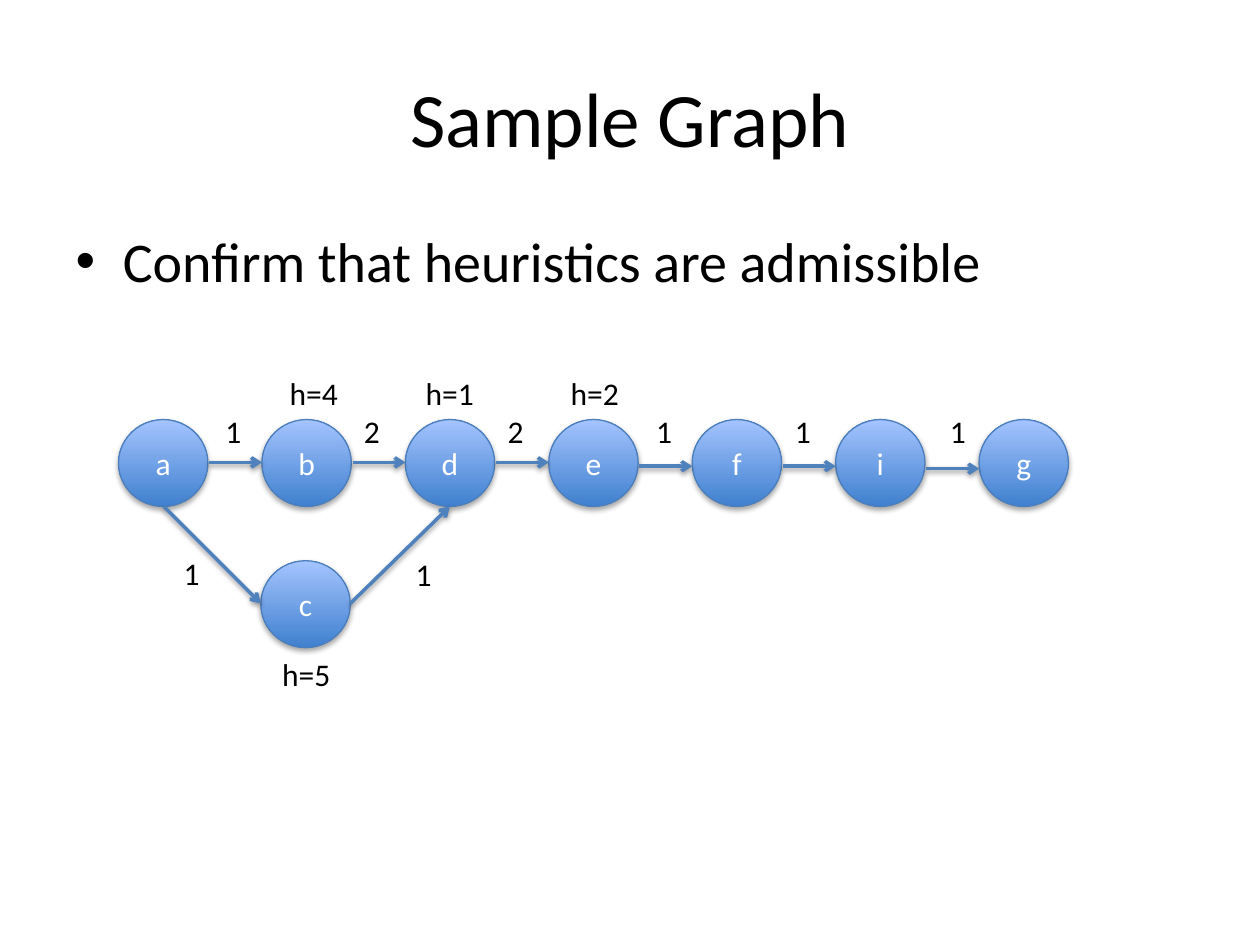
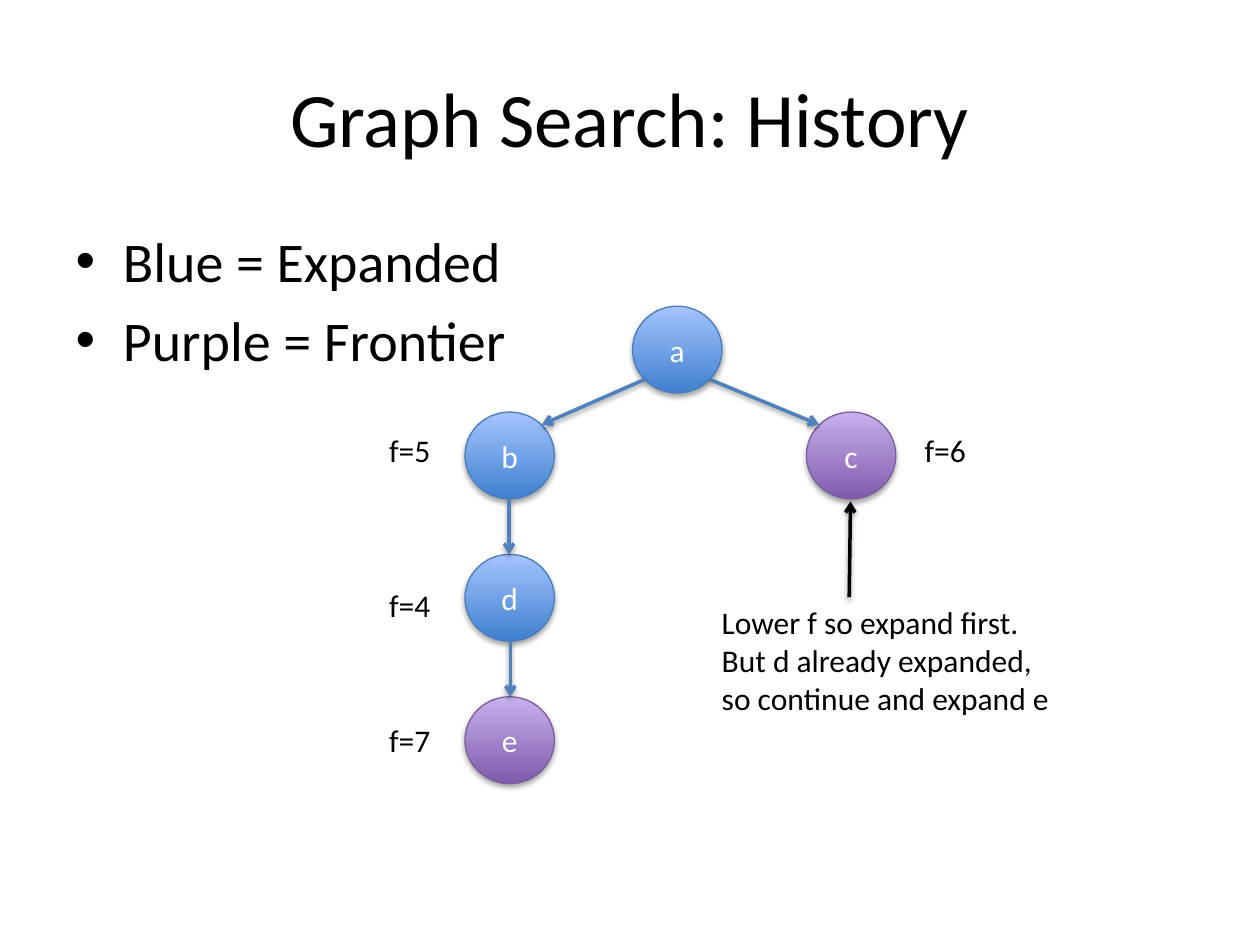
from lxml import etree
from pptx import Presentation
from pptx.dml.color import RGBColor
from pptx.enum.shapes import MSO_CONNECTOR as LINE, MSO_SHAPE as SHAPE
from pptx.enum.text import MSO_ANCHOR as ANCHOR, MSO_AUTO_SIZE as FIT, PP_ALIGN as ALIGN
from pptx.oxml.ns import qn
from pptx.util import Inches, Pt

# Shared style
FONT = "Calibri"
BLACK = RGBColor(0x00, 0x00, 0x00)
WHITE = RGBColor(0xFF, 0xFF, 0xFF)
EDGE = RGBColor(0x4F, 0x81, 0xBD)
# Node colours: bottom, top, outline
BLUE = (RGBColor(0x3F, 0x80, 0xCE), RGBColor(0xA4, 0xC4, 0xFF), RGBColor(0x4B, 0x7E, 0xBC))
PURPLE = (RGBColor(0x7F, 0x5B, 0xAB), RGBColor(0xC8, 0xB0, 0xED), RGBColor(0x7D, 0x60, 0xA0))
WIDE, HIGH = 0.71, 0.69


def write(para, text, size, color):
    run = para.add_run()
    run.text = text
    run.font.name, run.font.size = FONT, Pt(size)
    run.font.color.rgb = color


def shade(shape, dist, alpha):
    effects = etree.SubElement(shape._element.spPr, qn("a:effectLst"))
    shadow = etree.SubElement(effects, qn("a:outerShdw"), blurRad=str(Pt(3.1)),
                              dist=str(Pt(dist)), dir="5400000", rotWithShape="0")
    tint = etree.SubElement(shadow, qn("a:srgbClr"), val=str(BLACK))
    etree.SubElement(tint, qn("a:alpha"), val=str(alpha * 1000))


# Sample graph: a row of nodes with a detour through c
STEP = 6.83 / 6
row = [(name, 0.94 + i * STEP, 3.33, BLUE) for i, name in enumerate("abdefig")]
links = [(1.66 + i * STEP, y, 2.08 + i * STEP, y, EDGE)
         for i, y in enumerate([3.67, 3.67, 3.67, 3.7, 3.7, 3.72])]
costs = [("1", 1.69), ("2", 2.79), ("2", 3.93), ("1", 5.11), ("1", 6.21), ("1", 7.44)]
hints = [("h=4", 2.2), ("h=1", 3.28), ("h=2", 4.43)]
graph = {
    "title": "Sample Graph",
    "points": ["Confirm that heuristics are admissible"],
    "nodes": row + [("c", 2.07, 4.45, BLUE)],
    "arrows": links + [(1.3, 4.02, 2.07, 4.79, EDGE), (2.78, 4.79, 3.57, 4.02, EDGE)],
    "labels": [(text, x, 3.22, 0.33, 0.4) for text, x in costs]
    + [(text, x, 2.92, 0.59, 0.4) for text, x in hints]
    + [("1", 1.36, 4.35, 0.33, 0.4), ("1", 3.2, 4.36, 0.33, 0.4),
       ("h=5", 2.14, 5.15, 0.59, 0.4)],
}

# Search history: a tree with b, d and e in one column
column = [(name, 3.69, 3.27 + i * 1.13, color)
          for i, (name, color) in enumerate([("b", BLUE), ("d", BLUE), ("e", PURPLE)])]
scores = [("f=5", 2.99, 3.37), ("f=4", 2.99, 4.6), ("f=7", 2.99, 5.67), ("f=6", 7.24, 3.37)]
note = "Lower f so expand first.\nBut d already expanded,\nso continue and expand e"
history = {
    "title": "Graph Search: History",
    "points": ["Blue = Expanded", "Purple = Frontier"],
    "nodes": [("a", 5.02, 2.43, BLUE), ("c", 6.4, 3.27, PURPLE)] + column,
    "arrows": [(5.12, 3.01, 4.3, 3.37, EDGE), (5.63, 3.01, 6.5, 3.37, EDGE),
               (4.04, 3.95, 4.04, 4.4, EDGE), (4.05, 5.09, 4.05, 5.53, EDGE),
               (6.74, 4.74, 6.75, 3.98, BLACK)],
    "labels": [(text, x, y, 0.53, 0.4) for text, x, y in scores]
    + [(note, 5.63, 4.74, 2.83, 1.01)],
}

deck = Presentation()
deck.slide_width, deck.slide_height = Inches(10), Inches(7.5)

for page in (graph, history):
    slide = deck.slides.add_slide(deck.slide_layouts[1])

    # Title and list
    title, body = slide.placeholders
    for holder, top, high in ((title, 0.3, 1.25), (body, 1.75, 4.95)):
        holder.left, holder.top = Inches(0.5), Inches(top)
        holder.width, holder.height = Inches(9), Inches(high)
    write(title.text_frame.paragraphs[0], page["title"], 44, BLACK)
    frame = body.text_frame
    for i, point in enumerate(page["points"]):
        para = frame.add_paragraph() if i else frame.paragraphs[0]
        write(para, point, 32, BLACK)

    # Nodes
    for name, x, y, (low, top, rim) in page["nodes"]:
        node = slide.shapes.add_shape(SHAPE.OVAL, Inches(x), Inches(y), Inches(WIDE), Inches(HIGH))
        node.fill.gradient()
        node.fill.gradient_angle = 90
        for stop, color in zip(node.fill.gradient_stops, (low, top)):
            stop.color.rgb = color
        node.line.color.rgb, node.line.width = rim, Pt(0.75)
        shade(node, 1.8, 35)
        node.text_frame.vertical_anchor = ANCHOR.MIDDLE
        para = node.text_frame.paragraphs[0]
        para.alignment = ALIGN.CENTER
        write(para, name, 18, WHITE)

    # Arrows
    for x1, y1, x2, y2, color in page["arrows"]:
        arrow = slide.shapes.add_connector(LINE.STRAIGHT, Inches(x1), Inches(y1),
                                           Inches(x2), Inches(y2))
        arrow.line.color.rgb, arrow.line.width = color, Pt(2)
        etree.SubElement(arrow.line._get_or_add_ln(), qn("a:tailEnd"), type="arrow")
        shade(arrow, 1.6, 38)

    # Costs, estimates and remarks
    for text, x, y, wide, high in page["labels"]:
        label = slide.shapes.add_textbox(Inches(x), Inches(y), Inches(wide), Inches(high))
        frame = label.text_frame
        frame.word_wrap, frame.auto_size = False, FIT.SHAPE_TO_FIT_TEXT
        for i, line in enumerate(text.split("\n")):
            para = frame.add_paragraph() if i else frame.paragraphs[0]
            write(para, line, 18, BLACK)

deck.save("out.pptx")
